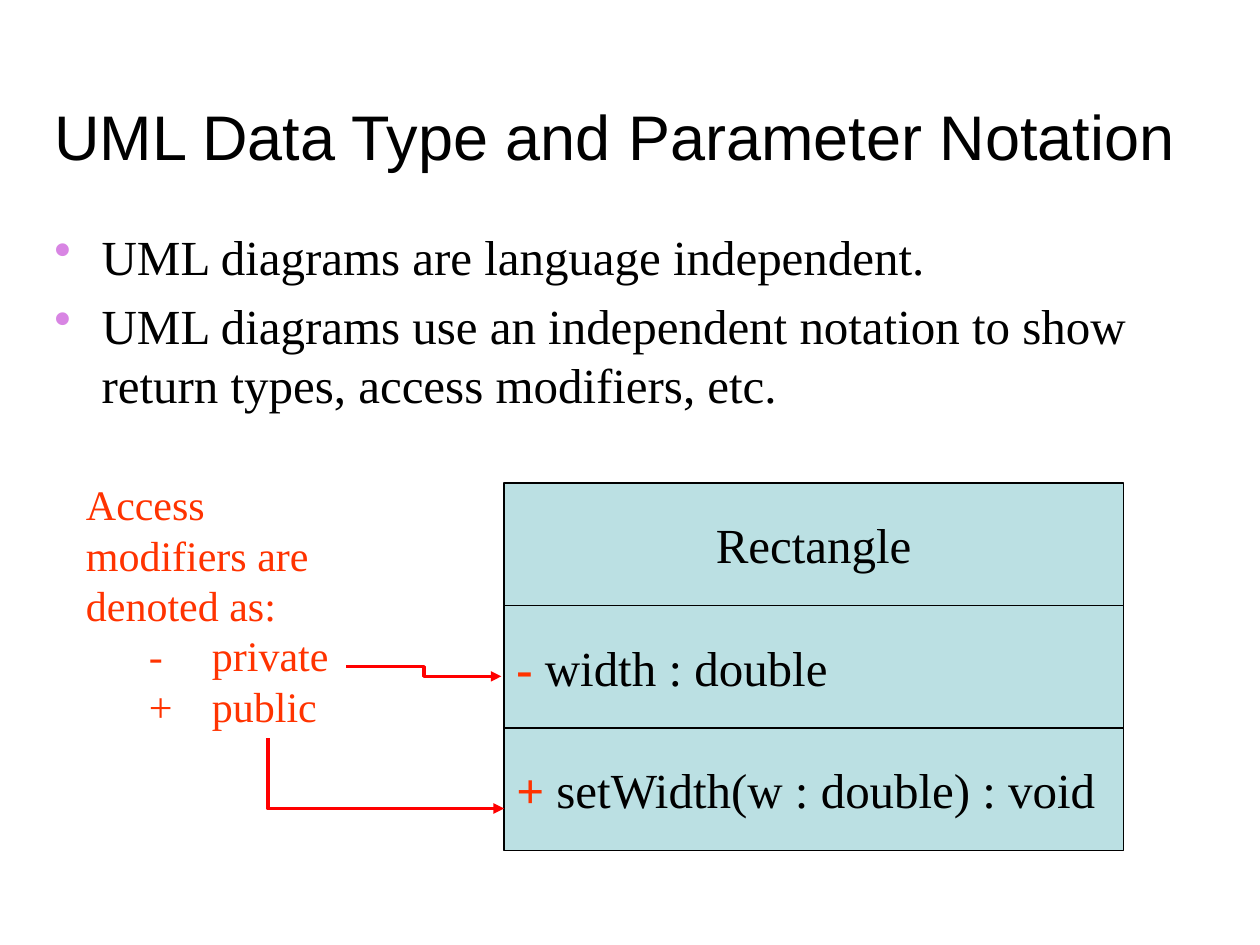
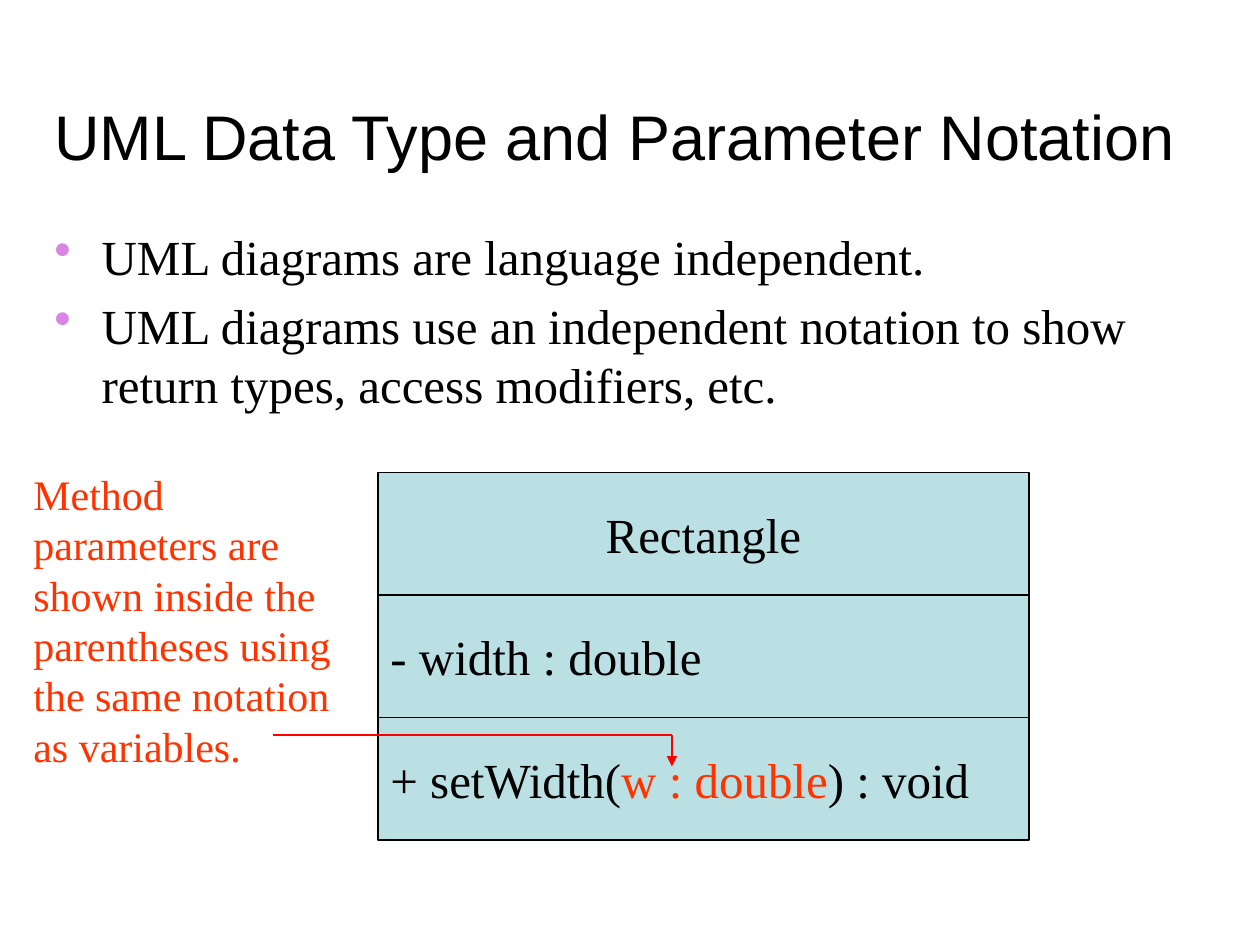
from dataclasses import dataclass
from lxml.etree import SubElement
from pptx import Presentation
from pptx.dml.color import RGBColor as RGB
from pptx.enum.shapes import MSO_CONNECTOR as LINK, MSO_SHAPE as SHAPE
from pptx.enum.text import MSO_ANCHOR as ANCHOR, MSO_AUTO_SIZE as FIT, PP_ALIGN as ALIGN
from pptx.oxml.ns import qn
from pptx.util import Pt


@dataclass(frozen=True)
class Theme:
    ink: RGB = RGB(0x00, 0x00, 0x00)
    accent: RGB = RGB(0xFF, 0x33, 0x00)
    arrow: RGB = RGB(0xFF, 0x00, 0x00)
    bullet: RGB = RGB(0xD8, 0x85, 0xE3)
    class_fill: RGB = RGB(0xBB, 0xE0, 0xE3)
    heading_font: str = "Arial"
    body_font: str = "Times New Roman"
    heading_size: float = 36
    body_size: float = 28
    note_size: float = 24
    border: float = 0.75


THEME = Theme()
HEADING_BOX = (24, 24, 678, 78.5)
POINTS_BOX = (24, 126, 653, 140)
HEADING = "UML Data Type and Parameter Notation"
POINTS = (
    "UML diagrams are language independent.",
    "UML diagrams use an independent notation to show return types, access modifiers, etc.",
)


def write(paragraph, text, font=THEME.body_font, size=THEME.body_size,
          color=THEME.ink, bold=False, align=ALIGN.LEFT):
    paragraph.alignment = align
    run = paragraph.add_run()
    run.text = text
    run.font.name = font
    run.font.size = Pt(size)
    run.font.color.rgb = color
    run.font.bold = bold


def indent(paragraph, margin, first_line=0):
    properties = paragraph._p.get_or_add_pPr()
    properties.set("marL", str(Pt(margin)))
    properties.set("indent", str(Pt(first_line)))
    return properties


def add_bullet(paragraph):
    properties = indent(paragraph, 27, -27)
    color = SubElement(properties, qn("a:buClr"))
    SubElement(color, qn("a:srgbClr"), val=str(THEME.bullet))
    SubElement(properties, qn("a:buChar"), char="•")


def text_frame(slide, box):
    frame = slide.shapes.add_textbox(*map(Pt, box)).text_frame
    frame.word_wrap = True
    return frame


def paragraphs(frame, count):
    return [frame.paragraphs[0]] + [frame.add_paragraph() for _ in range(count - 1)]


def add_heading(slide, box):
    frame = text_frame(slide, box)
    frame.vertical_anchor = ANCHOR.BOTTOM
    write(frame.paragraphs[0], HEADING, font=THEME.heading_font, size=THEME.heading_size)


def add_points(slide, box):
    frame = text_frame(slide, box)
    frame.margin_right = 0
    for paragraph, point in zip(paragraphs(frame, len(POINTS)), POINTS):
        write(paragraph, point)
        paragraph.space_before = Pt(5.6)
        add_bullet(paragraph)


def add_class_diagram(slide, box, name, *members):
    left, top, width, height = box
    rows = ([(name, {"align": ALIGN.CENTER})], *members)
    row_height = height / len(rows)
    group = slide.shapes.add_group_shape()
    for index, parts in enumerate(rows):
        row = group.shapes.add_shape(
            SHAPE.RECTANGLE, Pt(left), Pt(top + index * row_height), Pt(width), Pt(row_height))
        row.shadow.inherit = False
        row.fill.solid()
        row.fill.fore_color.rgb = THEME.class_fill
        row.line.color.rgb = THEME.ink
        row.line.width = Pt(THEME.border)
        row.text_frame.word_wrap = False
        row.text_frame.vertical_anchor = ANCHOR.MIDDLE
        for text, style in parts:
            write(row.text_frame.paragraphs[0], text, **style)


def add_note(slide, box, lead, *items):
    frame = text_frame(slide, box)
    frame.auto_size = FIT.SHAPE_TO_FIT_TEXT
    first, *rest = paragraphs(frame, 1 + len(items))
    write(first, lead, size=THEME.note_size, color=THEME.accent)
    for paragraph, item in zip(rest, items):
        paragraph.level = 1
        indent(paragraph, 36)
        write(paragraph, item, size=THEME.note_size, color=THEME.accent)


def add_link(slide, start, end, kind=LINK.STRAIGHT, width=THEME.border, head=True):
    link = slide.shapes.add_connector(kind, *map(Pt, (*start, *end)))
    link.line.color.rgb = THEME.arrow
    link.line.width = Pt(width)
    if head:
        SubElement(link.line._get_or_add_ln(), qn("a:tailEnd"), type="triangle")
    SubElement(link._element.spPr, qn("a:effectLst"))
    return link


def add_down_then_right(slide, start, end, width):
    middle_x, middle_y = (start[0] + end[0]) / 2, (start[1] + end[1]) / 2
    half_run, half_drop = (end[0] - start[0]) / 2, (end[1] - start[1]) / 2
    link = add_link(slide, (middle_x + half_drop, middle_y - half_run),
                    (middle_x - half_drop, middle_y + half_run), LINK.ELBOW, width)
    properties = link._element.spPr
    properties.find(qn("a:xfrm")).set("rot", str(270 * 60000))
    properties.find(qn("a:prstGeom")).set("prst", "bentConnector2")


def add_notation_slide(deck):
    slide = deck.slides.add_slide(deck.slide_layouts[6])
    add_heading(slide, HEADING_BOX)
    add_points(slide, POINTS_BOX)
    return slide


def add_access_slide(deck):
    slide = add_notation_slide(deck)
    marked = {"color": THEME.accent, "bold": True}
    add_class_diagram(slide, (288, 276, 354, 210), "Rectangle",
                      [("- ", marked), ("width : double", {})],
                      [("+", marked), (" setWidth(w : double) : void", {})])
    add_note(slide, (42, 270, 162, 153), "Access modifiers are denoted as:",
             "-\tprivate", "+\tpublic")
    add_down_then_right(slide, (153, 422), (288, 462), 2)
    add_link(slide, (198, 381), (286.5, 386.5), LINK.ELBOW, 2)


def add_parameter_slide(deck):
    slide = add_notation_slide(deck)
    add_class_diagram(slide, (216, 270, 372, 210), "Rectangle",
                      [("- width : double", {})],
                      [("+ setWidth(", {}), ("w : double", {"color": THEME.accent}),
                       (") : void", {})])
    add_note(slide, (12, 264, 198, 181.5),
             "Method parameters are shown inside the parentheses using "
             "the same notation as variables.")
    corner = (384, 420)
    add_link(slide, (156, 420), corner, head=False)
    add_link(slide, corner, (384, 438))


def main():
    deck = Presentation()
    deck.slide_width, deck.slide_height = Pt(720), Pt(540)
    add_access_slide(deck)
    add_parameter_slide(deck)
    deck.save("out.pptx")


if __name__ == "__main__":
    main()
